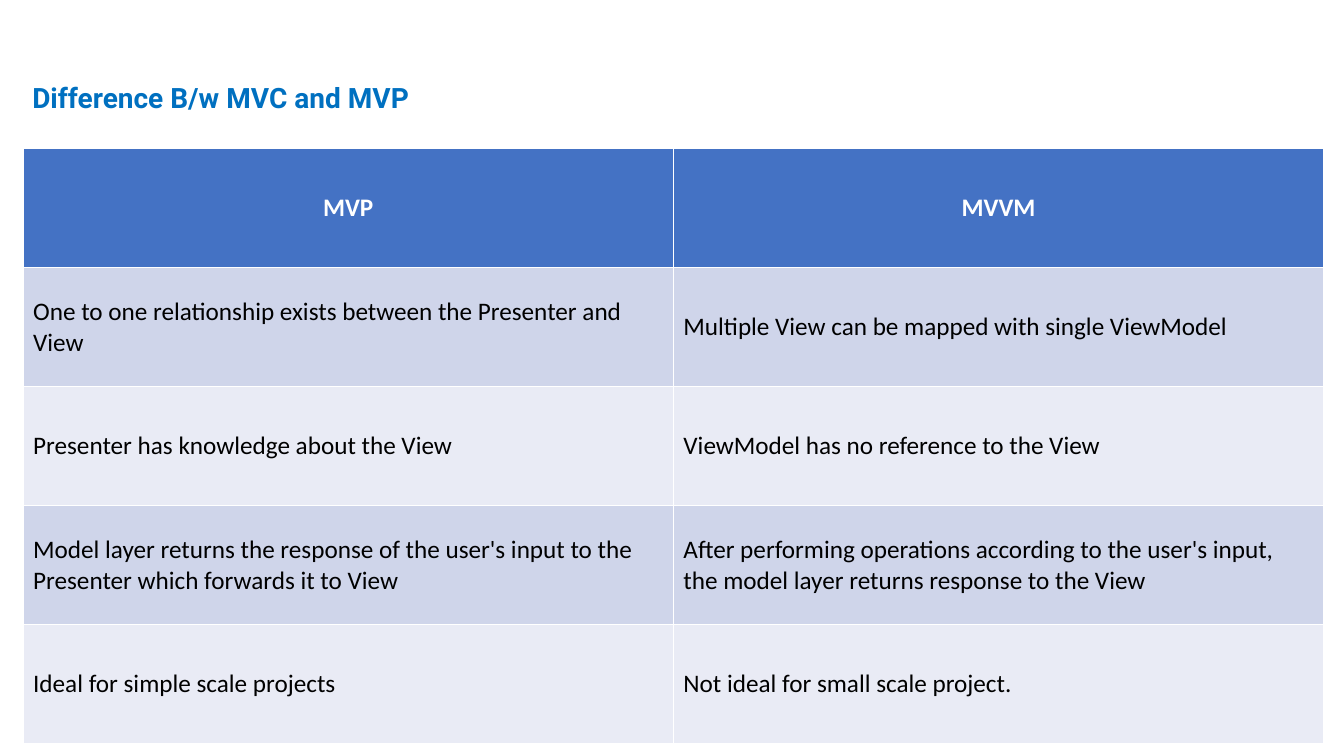
from pptx import Presentation
from pptx import util as u
from pptx.dml.color import RGBColor
from pptx.enum import text

BLUE = RGBColor(0x00, 0x70, 0xC0)
HEADER = RGBColor(0x44, 0x72, 0xC4)
BAND_DARK = RGBColor(0xCF, 0xD5, 0xEA)
BAND_LIGHT = RGBColor(0xE9, 0xEB, 0xF5)
WHITE = RGBColor(0xFF, 0xFF, 0xFF)
BLACK = RGBColor(0x00, 0x00, 0x00)

ROWS = [
    ("MVP", "MVVM"),
    ("One to one relationship exists between the Presenter and View",
     "Multiple View can be mapped with single ViewModel"),
    ("Presenter has knowledge about the View",
     "ViewModel has no reference to the View"),
    ("Model layer returns the response of the user's input to the Presenter which forwards it to View",
     "After performing operations according to the user's input, the model layer returns response to the View"),
    ("Ideal for simple scale projects",
     "Not ideal for small scale project."),
]


def write(tf, words, size=18, font="Calibri", color=BLACK, bold=False,
          align=text.PP_ALIGN.LEFT, spacing=1.0):
    p = tf.paragraphs[0]
    p.alignment = align
    p.line_spacing = spacing
    r = p.add_run()
    r.text = words
    r.font.size = u.Pt(size)
    r.font.name = font
    r.font.bold = bold
    r.font.color.rgb = color


prs = Presentation()
prs.slide_width, prs.slide_height = u.Pt(960), u.Pt(540)
s = prs.slides.add_slide(prs.slide_layouts[5])

# Title
title = s.shapes.title
title.left, title.top = u.Pt(15.84), u.Pt(28.8)
title.width, title.height = u.Pt(928), u.Pt(85)
title.text_frame.vertical_anchor = text.MSO_ANCHOR.MIDDLE
write(title.text_frame, "Difference B/w MVC and MVP", size=20, font="Roboto",
      color=BLUE, bold=True, spacing=0.9)

# Comparison table: the default style draws the white rules
table = s.shapes.add_table(len(ROWS), 2, u.Pt(16.5), u.Pt(106.2),
                           u.Pt(929), u.Pt(425)).table
for i, row in enumerate(ROWS):
    head = i == 0
    for j, words in enumerate(row):
        cell = table.cell(i, j)
        cell.vertical_anchor = text.MSO_ANCHOR.MIDDLE
        cell.fill.solid()
        cell.fill.fore_color.rgb = HEADER if head else BAND_DARK if i % 2 else BAND_LIGHT
        write(cell.text_frame, words, color=WHITE if head else BLACK, bold=head,
              align=text.PP_ALIGN.CENTER if head else text.PP_ALIGN.LEFT)

prs.save("out.pptx")
